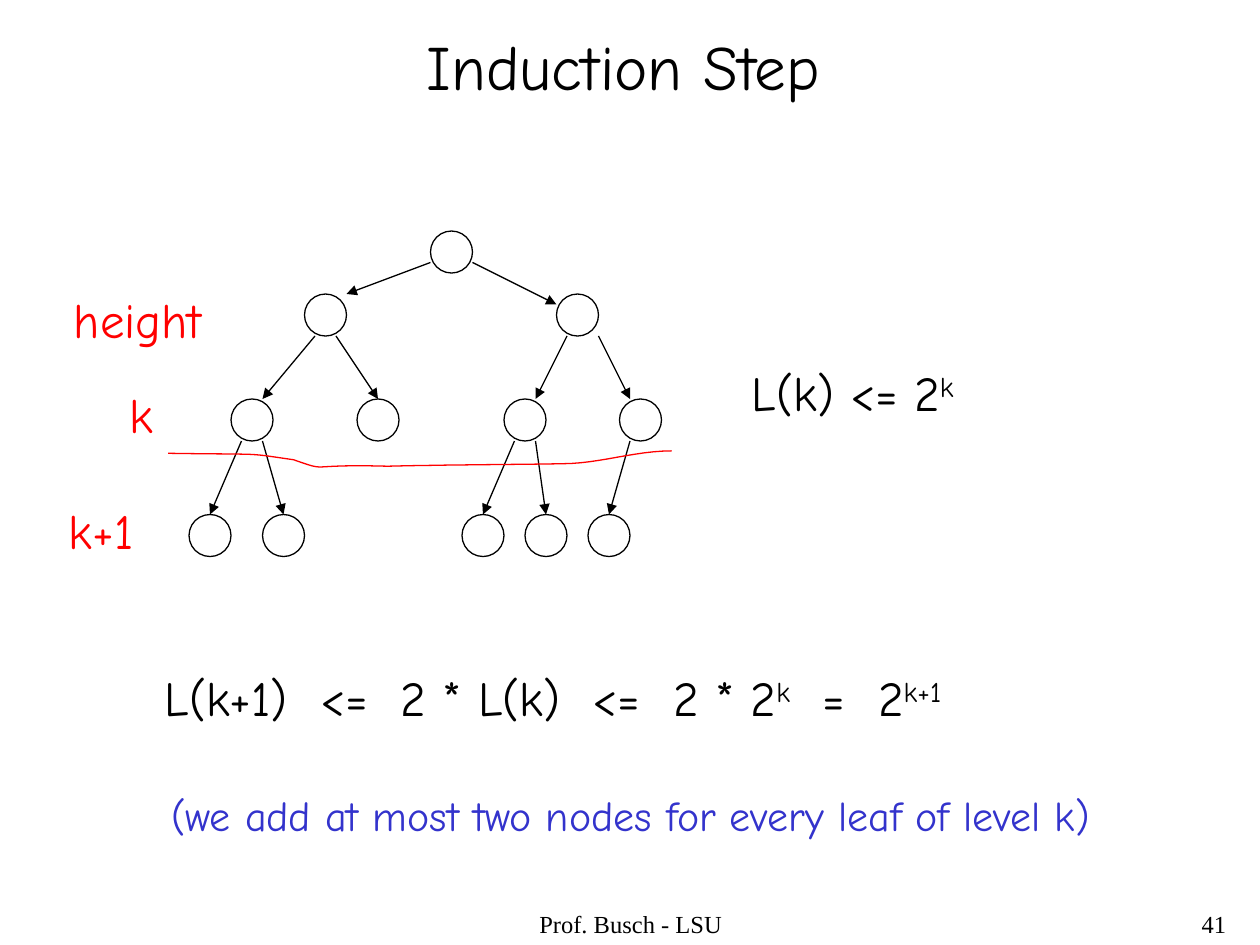
import lxml.etree
import pptx
import pptx.dml.color
import pptx.enum.shapes
import pptx.enum.text
import pptx.oxml.ns
import pptx.util

Cm = pptx.util.Cm
Pt = pptx.util.Pt
RGBColor = pptx.dml.color.RGBColor
ALIGN = pptx.enum.text.PP_ALIGN

THEME = {
    "black": RGBColor(0x00, 0x00, 0x00),
    "red": RGBColor(0xFF, 0x00, 0x00),
    "blue": RGBColor(0x33, 0x33, 0xCC),
    "font": "Comic Neue",
    "footer_font": "Times New Roman",
    "title": Pt(36),
    "body": Pt(28),
    "note": Pt(24),
    "footer": Pt(14),
    "line": Pt(0.75),
}
GRID = 2.54 / 12  # the tree sits on a grid of twelve steps to the inch
NODE_SIZE = 4


def write_text(shape, text, size, color, font=THEME["font"], align=ALIGN.LEFT, wrap=False):
    """Fill a shape with one paragraph; pieces between ^ marks are superscript."""
    frame = shape.text_frame
    frame.word_wrap = wrap
    frame.auto_size = pptx.enum.text.MSO_AUTO_SIZE.NONE
    frame.vertical_anchor = pptx.enum.text.MSO_ANCHOR.TOP
    paragraph = frame.paragraphs[0]
    paragraph.alignment = align
    paragraph.font.name = font
    paragraph.font.size = THEME[size]
    paragraph.font.color.rgb = THEME[color]
    for index, piece in enumerate(text.split("^")):
        if piece:
            run = paragraph.add_run()
            run.text = piece
            if index % 2:
                run._r.get_or_add_rPr().set("baseline", "30000")


presentation = pptx.Presentation()
presentation.slide_width = Cm(25.4)
presentation.slide_height = Cm(19.05)
slide = presentation.slides.add_slide(presentation.slide_layouts[5])
shapes = slide.shapes

# Title
title = shapes.title
title.left, title.top, title.width, title.height = Cm(8.33), Cm(0.43), Cm(8.46), Cm(1.78)
write_text(title, "Induction Step", "title", "black", align=ALIGN.CENTER)

# Level labels, formulas and note
texts = [
    ("height", 1.24, 5.72, 3.07, 1.45, "body", "red"),
    ("k", 2.36, 7.62, 0.99, 1.45, "body", "red"),
    ("k+1", 1.14, 9.96, 1.8, 1.45, "body", "red"),
    ("L(k) <= 2^k^", 14.91, 7.19, 4.57, 1.45, "body", "black"),
    ("L(k+1)  <=  2 * L(k)  <=  2 * 2^k^  =  2^k+1^", 3.07, 13.34, 16.15, 1.45, "body", "black"),
    ("(we add at most two nodes for every leaf of level k)", 3.2, 15.8, 19.1, 1.27, "note", "blue"),
]
for text, left, top, width, height, size, color in texts:
    box = shapes.add_textbox(Cm(left), Cm(top), Cm(width), Cm(height))
    write_text(box, text, size, color)

# Footer and slide number
for text, left, width, align in [
    ("Prof. Busch - LSU", 8.69, 8.05, ALIGN.CENTER),
    ("41", 19.69, 5.28, ALIGN.RIGHT),
]:
    box = shapes.add_textbox(Cm(left), Cm(18.2), Cm(width), Cm(0.85))
    write_text(box, text, "footer", "black", THEME["footer_font"], align, wrap=True)

# Tree nodes: top of each level, then the left edges, in grid steps
levels = {22: [41], 28: [29, 53], 38: [22, 34, 48, 59], 49: [18, 25, 44, 50, 56]}
for top, lefts in levels.items():
    for left in lefts:
        node = shapes.add_shape(
            pptx.enum.shapes.MSO_SHAPE.OVAL,
            Cm(left * GRID), Cm(top * GRID), Cm(NODE_SIZE * GRID), Cm(NODE_SIZE * GRID),
        )
        node.shadow.inherit = False
        node.fill.background()
        node.line.color.rgb = THEME["black"]
        node.line.width = THEME["line"]

# Arrows from parent to child, in grid steps
arrows = [
    (41, 25, 33, 28), (45, 25, 53, 29),
    (30, 32, 25, 38), (32, 32, 36, 38), (54, 32, 51, 38), (57, 32, 60, 38),
    (23, 42, 20, 49), (25, 42, 27, 49), (49, 42, 46, 49), (51, 42, 52, 49), (60, 42, 58, 49),
]
for ends in arrows:
    arrow = shapes.add_connector(
        pptx.enum.shapes.MSO_CONNECTOR.STRAIGHT, *(Cm(step * GRID) for step in ends)
    )
    arrow.line.color.rgb = THEME["black"]
    arrow.line.width = THEME["line"]
    line = arrow.line._get_or_add_ln()
    lxml.etree.SubElement(line, pptx.oxml.ns.qn("a:tailEnd"), type="triangle")
    lxml.etree.SubElement(arrow._element.spPr, pptx.oxml.ns.qn("a:effectLst"))

# Curve between levels k and k+1: Bezier segments in cm, each starting where the last ends
start = (3.39, 9.14)
segments = [
    [(5.38, 9.17), (4.9, 9.12), (5.92, 9.27)],
    [(6.68, 9.53), (6.07, 9.35), (7.82, 9.4)],
    [(9.0, 9.37), (10.16, 9.37), (11.33, 9.35)],
    [(12.07, 9.35), (12.8, 9.09), (13.54, 9.09)],
]
points = []
current = start
for first, second, end in segments:
    for step in range(1, 13):
        t = step / 12
        weights = ((1 - t) ** 3, 3 * t * (1 - t) ** 2, 3 * t * t * (1 - t), t ** 3)
        corners = (current, first, second, end)
        points.append(tuple(
            Cm(sum(weight * corner[axis] for weight, corner in zip(weights, corners)))
            for axis in (0, 1)
        ))
    current = end
builder = shapes.build_freeform(Cm(start[0]), Cm(start[1]))
builder.add_line_segments(points, close=False)
divider = builder.convert_to_shape()
divider.shadow.inherit = False
divider.fill.background()
divider.line.color.rgb = THEME["red"]
divider.line.width = THEME["line"]

presentation.save("out.pptx")
